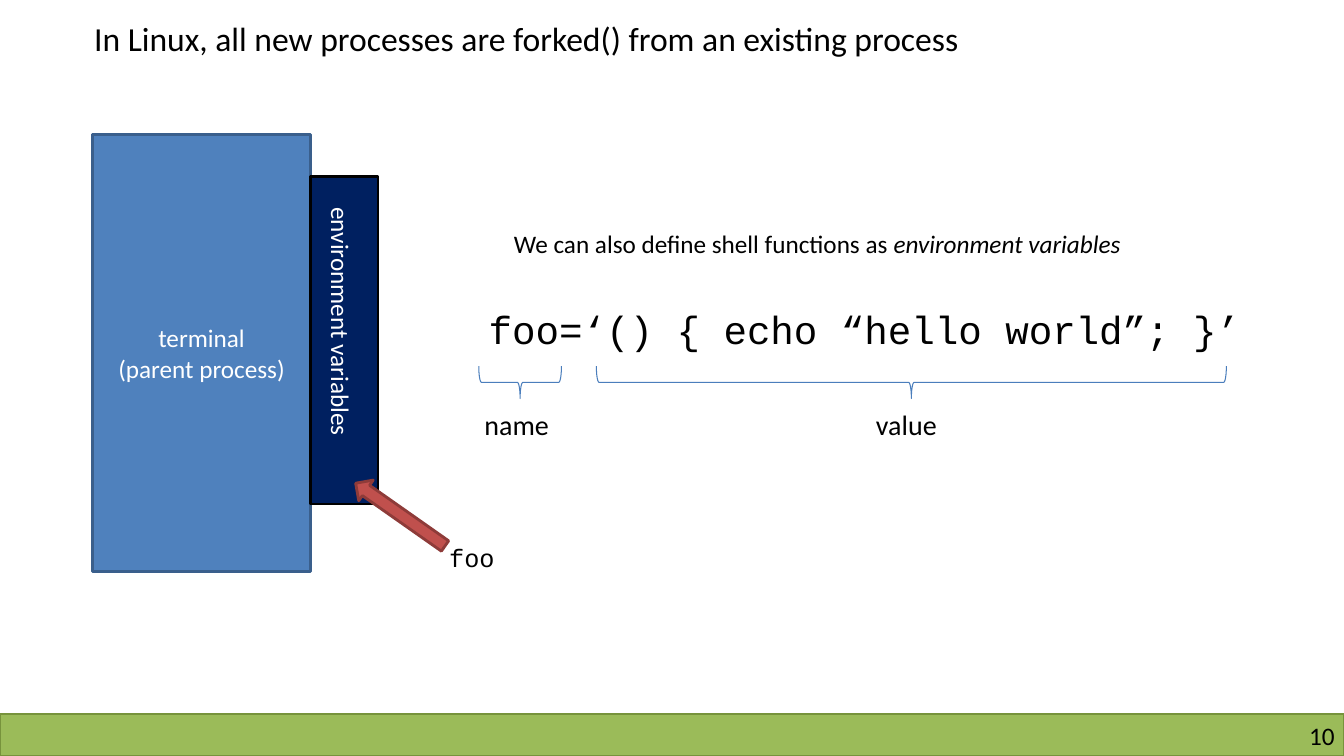
"""Build a slide on shell functions stored as environment variables."""
from dataclasses import dataclass

from pptx import Presentation
from pptx import util as u
from pptx.dml.color import RGBColor
from pptx.enum import shapes, text

COLORS = {
    "black": "000000", "white": "FFFFFF", "navy": "002060",
    "blue": "4F81BD", "blue edge": "3A5F8C", "brace": "4B7EBC",
    "red": "C0504D", "red edge": "8E3B39",
    "green": "9BBB59", "green edge": "77933C",
}
COLUMNS, ROWS = 160, 90
CELL = u.Inches(7.5) // ROWS
SHAPE = shapes.MSO_SHAPE


@dataclass(frozen=True)
class Area:
    column: float
    row: float
    columns: float
    rows: float

    def turned(self) -> "Area":
        """Return the box that covers this area after a quarter turn."""
        shift = (self.columns - self.rows) / 2
        return Area(self.column + shift, self.row - shift, self.rows, self.columns)

    def lengths(self) -> list[int]:
        """Return left, top, width and height in EMU."""
        return [round(cells * CELL) for cells in (self.column, self.row, self.columns, self.rows)]


@dataclass(frozen=True)
class Figure:
    kind: SHAPE
    area: Area
    fill: str | None
    line: str
    weight: float
    rotation: float = 0
    caption: tuple[str, ...] = ()


@dataclass(frozen=True)
class Label:
    words: str
    area: Area
    size: int
    font: str = "Calibri"
    color: str = "black"
    rotation: float = 0
    emphasis: str = ""


FIGURES = [
    Figure(SHAPE.RECTANGLE, Area(0, 85, COLUMNS, 5), "green", "green edge", 1),
    Figure(SHAPE.RECTANGLE, Area(11, 16, 26, 52), "blue", "blue edge", 2,
           caption=("terminal", "(parent process)")),
    Figure(SHAPE.RECTANGLE, Area(37, 21, 8, 39), "navy", "black", 2),
    Figure(SHAPE.LEFT_BRACE, Area(57, 43.6, 9.84, 3.84).turned(), None, "brace", 0.75, 270),
    Figure(SHAPE.LEFT_BRACE, Area(71, 43.6, 75, 3.84).turned(), None, "brace", 0.75, 270),
    Figure(SHAPE.RIGHT_ARROW, Area(41.16, 59.76, 13, 3), "red", "red edge", 2, 215.1),
]
LABELS = [
    Label("environment variables", Area(38.2, 23.5, 4.8, 32).turned(), 18,
          color="white", rotation=90),
    Label("foo=‘() { echo “hello world”; }’", Area(57, 35.8, 95.4, 6.8), 28, "Courier New"),
    Label("We can also define shell functions as ", Area(60, 26.6, 83.5, 4.8), 18,
          emphasis="environment variables"),
    Label("name", Area(56.5, 47.9, 10.8, 5.3), 20),
    Label("value", Area(103.1, 47.9, 10.4, 5.3), 20),
    Label("foo", Area(52.3, 64, 7.8, 4.8), 18, "Courier New"),
]


def rgb(name: str) -> RGBColor:
    """Look up a named colour."""
    return RGBColor.from_string(COLORS[name])


def write(shape, *lines: str, size: int = 18, font: str = "Calibri", color: str = "black",
          align=text.PP_ALIGN.LEFT, anchor=text.MSO_ANCHOR.TOP, wrap: bool = False,
          inset: float | None = None, emphasis: str = "") -> None:
    """Write lines into a shape, with an optional italic ending."""
    frame = shape.text_frame
    frame.auto_size = text.MSO_AUTO_SIZE.NONE if wrap else text.MSO_AUTO_SIZE.SHAPE_TO_FIT_TEXT
    frame.word_wrap = wrap
    frame.vertical_anchor = anchor
    if inset is not None:
        frame.margin_left = frame.margin_right = u.Inches(inset)
        frame.margin_top = frame.margin_bottom = u.Inches(inset)
    for index, line in enumerate(lines):
        paragraph = frame.add_paragraph() if index else frame.paragraphs[0]
        paragraph.alignment = align
        paragraph.add_run().text = line
        if emphasis and index == len(lines) - 1:
            ending = paragraph.add_run()
            ending.text = emphasis
            ending.font.italic = True
        for run in paragraph.runs:
            run.font.size = u.Pt(size)
            run.font.name = font
            run.font.color.rgb = rgb(color)


def draw_figure(slide, figure: Figure) -> None:
    """Draw a preset shape with its caption."""
    shape = slide.shapes.add_shape(figure.kind, *figure.area.lengths())
    shape.shadow.inherit = False
    shape.rotation = figure.rotation
    if figure.fill:
        shape.fill.solid()
        shape.fill.fore_color.rgb = rgb(figure.fill)
    else:
        shape.fill.background()
    shape.line.color.rgb = rgb(figure.line)
    shape.line.width = u.Pt(figure.weight)
    if figure.caption:
        write(shape, *figure.caption, color="white", align=text.PP_ALIGN.CENTER,
              anchor=text.MSO_ANCHOR.MIDDLE, wrap=True)


def draw_label(slide, label: Label) -> None:
    """Draw a one-line text box."""
    box = slide.shapes.add_textbox(*label.area.lengths())
    box.rotation = label.rotation
    write(box, label.words, size=label.size, font=label.font, color=label.color,
          emphasis=label.emphasis)


def main() -> None:
    """Build and save the presentation."""
    presentation = Presentation()
    presentation.slide_width = COLUMNS * CELL
    presentation.slide_height = ROWS * CELL
    slide = presentation.slides.add_slide(presentation.slide_layouts[5])

    title = slide.shapes.title
    title.left, title.top, title.width, title.height = Area(10, 1.5, 117.8, 6).lengths()
    write(title, "In Linux, all new processes are forked() from an existing process", size=24)

    for figure in FIGURES:
        draw_figure(slide, figure)
    for label in LABELS:
        draw_label(slide, label)

    page_number = slide.shapes.add_textbox(*Area(122, 85.8, 36.9, 3.6).lengths())
    write(page_number, "10", align=text.PP_ALIGN.RIGHT, wrap=True, inset=0)
    presentation.save("out.pptx")


if __name__ == "__main__":
    main()
